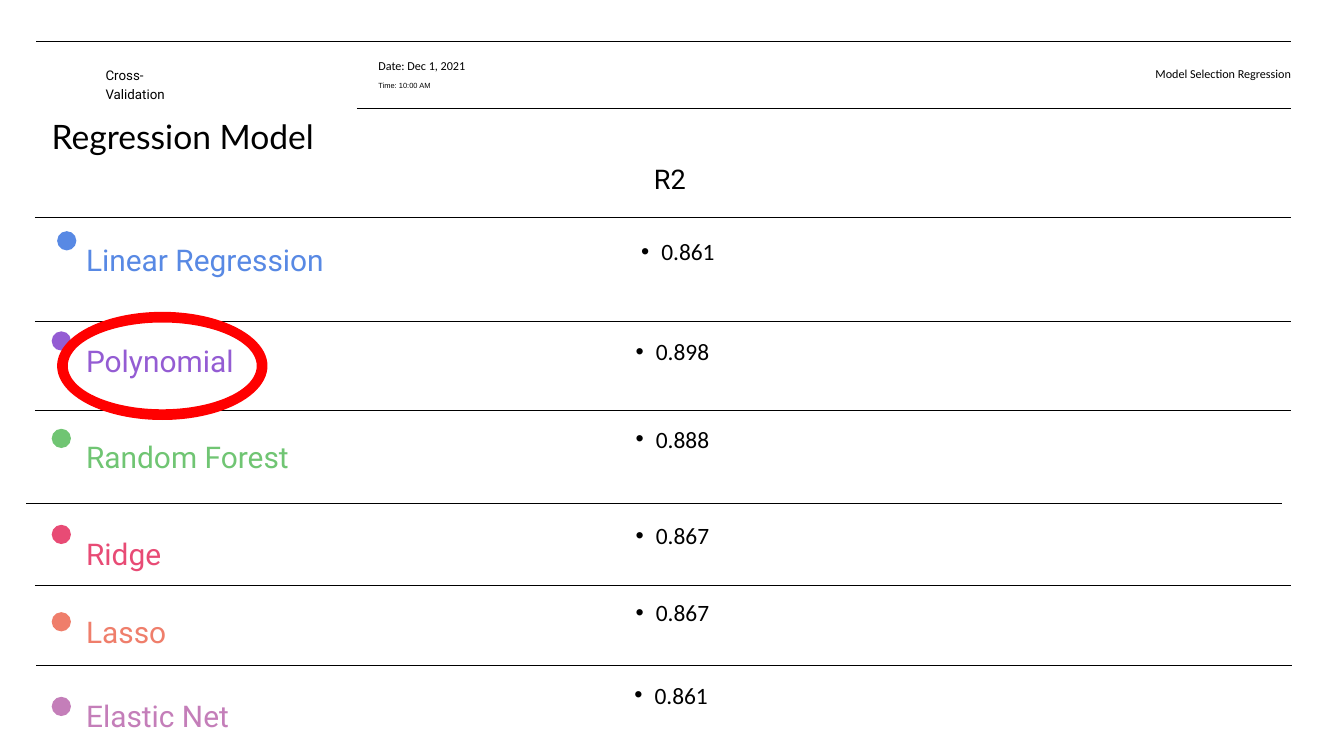
from dataclasses import dataclass

import pptx
import pptx.dml.color
import pptx.enum.shapes
import pptx.enum.text
import pptx.util
from lxml import etree
from pptx.oxml.ns import qn

Pt = pptx.util.Pt
SHAPE = pptx.enum.shapes.MSO_SHAPE
ALIGN = pptx.enum.text.PP_ALIGN


@dataclass(frozen=True)
class Theme:
    ink: str = "000000"
    highlight: str = "FF0000"
    blue: str = "5889E4"
    purple: str = "945CD3"
    green: str = "70C573"
    pink: str = "E84B75"
    coral: str = "EF7E6B"
    mauve: str = "C47EB9"
    title: float = 36
    label: float = 32
    column: float = 29
    value: float = 25.1
    section: float = 14.3
    meta: float = 13
    small: float = 8
    head_font: str = "Lato"
    label_font: str = "Roboto"
    body_font: str = "Calibri"
    small_font: str = "Arial"


T = Theme()
RULE_WIDTH = 1345.7
LABEL_X, LABEL_WIDTH = 92.2, 292.3


def rgb(color):
    return pptx.dml.color.RGBColor.from_string(color)


def write(p, text, size, font, color=T.ink, spacing=None, align=ALIGN.LEFT, bullet=False):
    p.alignment = align
    p.space_before = Pt(0)
    p.line_spacing = Pt(spacing)
    if bullet:
        p.level = 1
        pPr = p._p.get_or_add_pPr()
        pPr.set("marL", str(Pt(42.5)))
        pPr.set("indent", str(Pt(-21.6)))
        etree.SubElement(pPr, qn("a:buFont")).set("typeface", "Arial")
        etree.SubElement(pPr, qn("a:buChar")).set("char", "•")
    r = p.add_run()
    r.text = text
    r.font.size = Pt(size)
    r.font.name = font
    r.font.color.rgb = rgb(color)


def clear_frame(tf):
    tf.word_wrap = True
    tf.auto_size = pptx.enum.text.MSO_AUTO_SIZE.NONE
    tf.vertical_anchor = pptx.enum.text.MSO_ANCHOR.TOP
    tf.margin_left = tf.margin_top = tf.margin_right = tf.margin_bottom = Pt(0)
    return tf


def add_text(s, x, y, w, h, text, **fmt):
    tf = clear_frame(s.shapes.add_textbox(Pt(x), Pt(y), Pt(w), Pt(h)).text_frame)
    write(tf.paragraphs[0], text, **fmt)
    return tf


def add_rule(s, x, y, width):
    line = s.shapes.add_connector(
        pptx.enum.shapes.MSO_CONNECTOR.STRAIGHT, Pt(x), Pt(y), Pt(x + width), Pt(y))
    line.line.width = Pt(0.75)
    line.line.color.rgb = rgb(T.ink)
    etree.SubElement(line._element.spPr, qn("a:effectLst"))


def add_solid(s, kind, x, y, w, h, color):
    sp = s.shapes.add_shape(kind, Pt(x), Pt(y), Pt(w), Pt(h))
    sp.shadow.inherit = False
    sp.fill.solid()
    sp.fill.fore_color.rgb = rgb(color)
    sp.line.fill.background()
    return sp


def add_header(s, x, y, width):
    right = x + width
    add_rule(s, x, y, width)
    add_rule(s, x + 343.4, y + 72, width - 343.4)
    add_text(s, x + 74.2, y + 25.2, 92.9, 39.6, "Cross-Validation",
             size=T.section, font=T.label_font, spacing=20)
    tf = add_text(s, x + 366.5, y + 15.8, 190.8, 38.2, "Date: Dec 1, 2021",
                  size=T.meta, font=T.body_font, spacing=18.2)
    write(tf.add_paragraph(), "Time: 10:00 AM", size=T.small, font=T.small_font, spacing=18.2)
    add_text(s, right - 646.6, y + 24.5, 646.6, 20.2, "Model Selection Regression",
             size=T.meta, font=T.body_font, spacing=18.2, align=ALIGN.RIGHT)


def add_titles(s, x, y):
    title = s.shapes.title
    title.left, title.top, title.width, title.height = Pt(x), Pt(y), Pt(301.7), Pt(79.9)
    write(clear_frame(title.text_frame).paragraphs[0], "Regression Model",
          size=T.title, font=T.head_font, spacing=39.6)
    add_text(s, x + 645.2, y + 42.5, 208.8, 36.7, "R2",
             size=T.column, font=T.label_font, spacing=37.7)


def add_row(s, x, y, name, r2, color, dot, label_dy, value):
    add_rule(s, x, y, RULE_WIDTH)
    add_solid(s, SHAPE.OVAL, dot[0], y + dot[1], 20.6, 20.6, color)
    add_text(s, LABEL_X, y + label_dy, LABEL_WIDTH, 40.3, name,
             size=T.label, font=T.label_font, color=color, spacing=41.6)
    add_text(s, value[0], y + value[1], 120, 72.7, r2,
             size=T.value, font=T.body_font, spacing=35.2, bullet=True)


def add_highlight(s, x, y, w, h):
    ring = add_solid(s, SHAPE.DONUT, x, y, w, h, T.highlight)
    ring.adjustments[0] = 0.099


ROWS = [
    (37.4, 233.3, "Linear Regression", "0.861", T.blue, (61.2, 14.4), 22.3, (666, 15.8)),
    (37.4, 344.2, "Polynomial", "0.898", T.purple, (55.4, 10.8), 20.1, (660.2, 12.2)),
    (37.4, 439.2, "Random Forest", "0.888", T.green, (55.4, 20.2), 28.1, (660.2, 10.8)),
    (28.1, 539.3, "Ridge", "0.867", T.pink, (55.4, 23), 31.7, (660.2, 14.4)),
    (37.4, 627.1, "Lasso", "0.867", T.coral, (55.4, 28.8), 26.7, (660.2, 8.6)),
    (38.9, 712.8, "Elastic Net", "0.861", T.mauve, (55.4, 33.8), 31.7, (658.8, 11.5)),
]


def main():
    prs = pptx.Presentation()
    prs.slide_width, prs.slide_height = Pt(1440), Pt(810)
    s = prs.slides.add_slide(prs.slide_layouts[5])
    add_header(s, 38.9, 43.9, 1344.2)
    add_titles(s, 55.4, 128.2)
    for row in ROWS:
        add_row(s, *row)
    add_highlight(s, 61.2, 334.1, 225.4, 115.9)
    prs.save("out.pptx")


if __name__ == "__main__":
    main()
